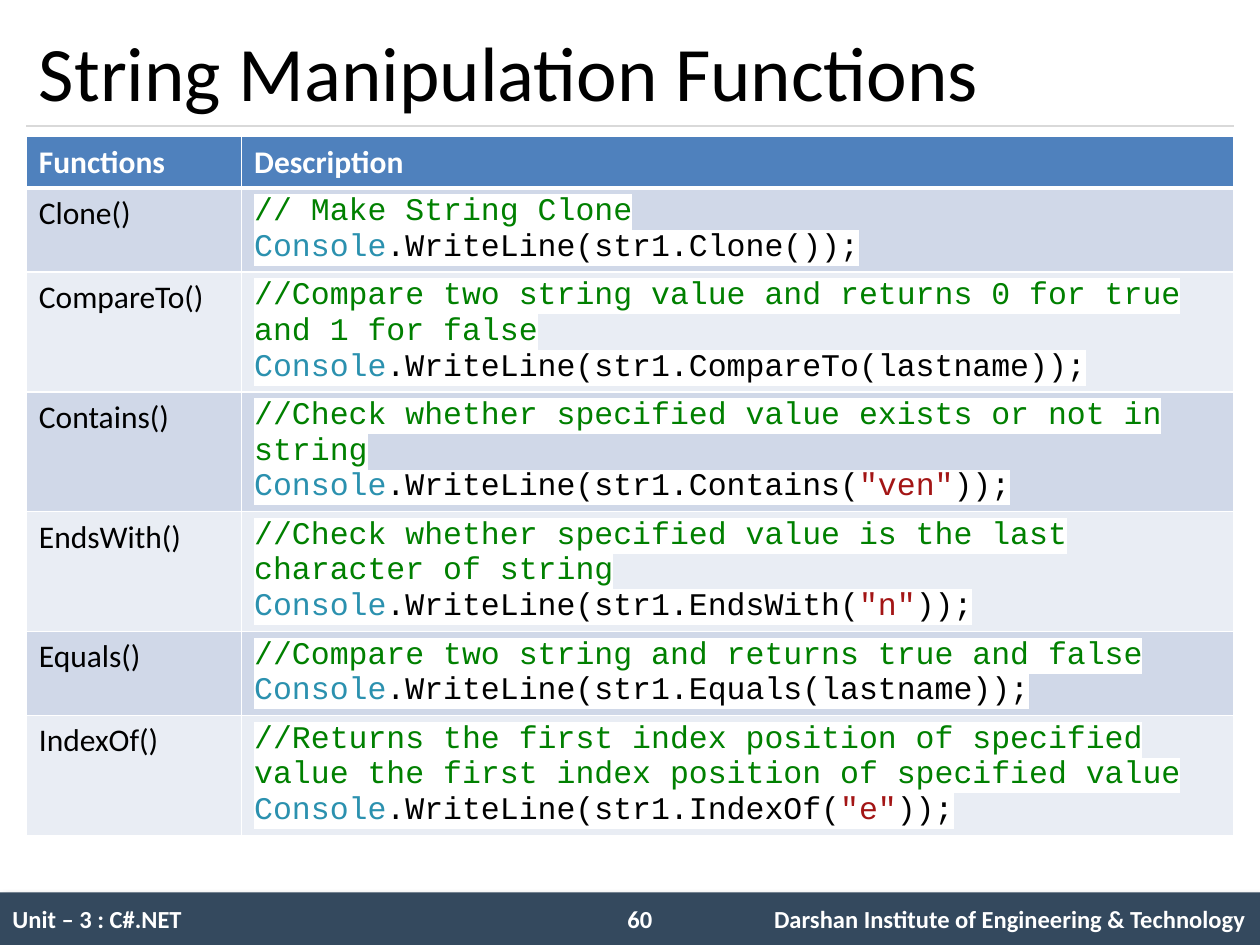
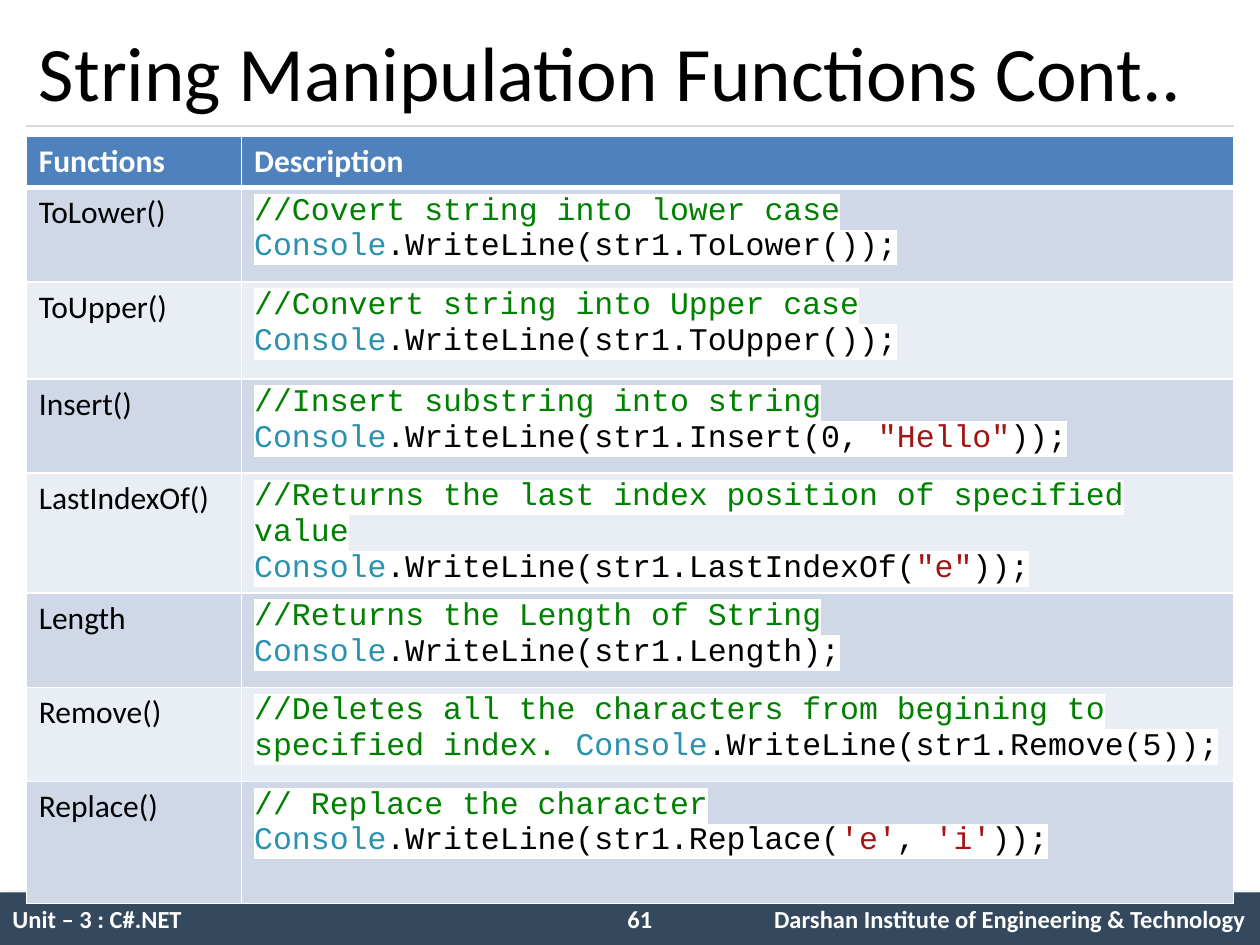
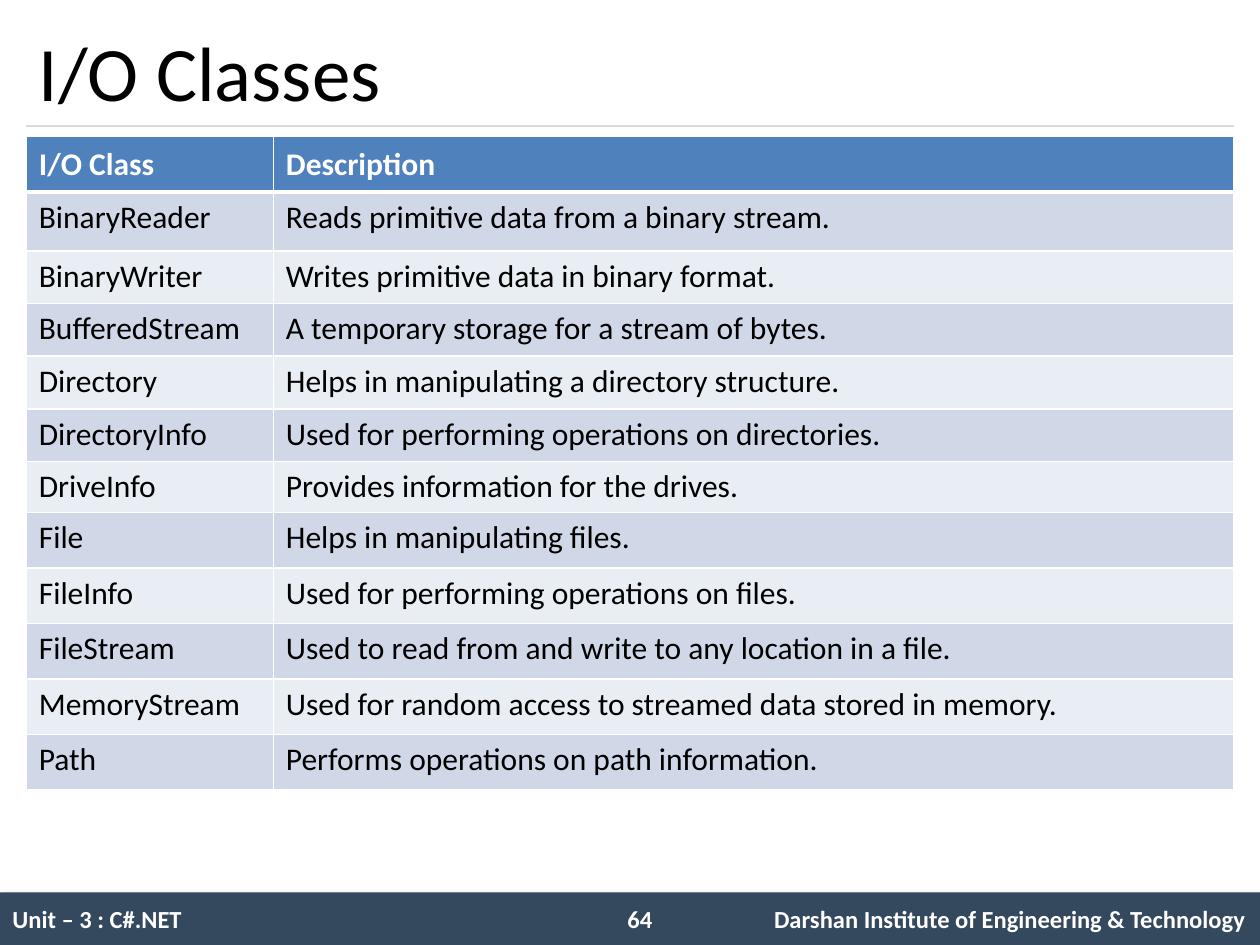
from dataclasses import dataclass

from lxml.etree import SubElement
from pptx import Presentation
from pptx.dml.color import RGBColor
from pptx.enum.shapes import MSO_CONNECTOR, MSO_SHAPE
from pptx.enum.text import MSO_ANCHOR, PP_ALIGN
from pptx.oxml import parse_xml
from pptx.oxml.ns import nsdecls, qn
from pptx.util import Cm, Pt

HEX = {
    "black": "000000", "white": "FFFFFF", "bar": "34495E", "rule": "D9D9D9",
    "head": "4F81BD", "odd": "D0D8E8", "even": "E9EDF4",
    "note": "008000", "type": "2B91AF", "text": "A31515",
}
BODY, MONO = "Calibri", "Courier New"
WIDE, HIGH = Cm(25.4), Cm(19.05)
LEFT, SPAN = Cm(0.53), Cm(24.34)
UNIT = "Unit – 3 : C#.NET"
SCHOOL = "Darshan Institute of Engineering & Technology"


@dataclass
class Bit:
    text: str
    color: str = "black"
    font: str = BODY
    size: int = 18
    bold: bool = False


Lines = list[list[Bit]]


@dataclass
class Row:
    name: str
    info: Lines
    high: float


@dataclass
class Page:
    title: str
    number: int
    heads: tuple[str, str]
    cols: tuple[float, float]
    top: float
    rows: list[Row]


def code(name: str, note: str, *call: str, high: float, inline: bool = False) -> Row:
    """Row with a comment and a call; every second part of the call is a literal."""
    first = [Bit(note, "note", MONO)]
    line = [Bit("Console", "type", MONO), Bit(".WriteLine(str1." + call[0], font=MONO)]
    for i, part in enumerate(call[1:]):
        line.append(Bit(part, "black" if i % 2 else "text", MONO))
    if inline:
        return Row(name, [first + [Bit(" ", font=MONO)] + line], high)
    return Row(name, [first, line], high)


def plain(name: str, info: str, high: float) -> Row:
    return Row(name, [[Bit(info)]], high)


def rgb(name: str) -> RGBColor:
    return RGBColor.from_string(HEX[name])


def put(para, bit: Bit) -> None:
    run = para.add_run()
    run.text = bit.text
    font = run.font
    font.name, font.size, font.bold = bit.font, Pt(bit.size), bit.bold
    font.color.rgb = rgb(bit.color)
    if bit.font == MONO:
        mark = parse_xml(f'<a:highlight {nsdecls("a")}>'
                         f'<a:srgbClr val="{HEX["white"]}"/></a:highlight>')
        font._rPr.find(qn("a:solidFill")).addnext(mark)


def edge(cell, sides: dict[str, int]) -> None:
    """Draw white cell borders, given as side letter and width in points."""
    props = cell._tc.get_or_add_tcPr()
    for i, (side, width) in enumerate(sides.items()):
        props.insert(i, parse_xml(
            f'<a:ln{side} {nsdecls("a")} w="{Pt(width)}"><a:solidFill>'
            f'<a:srgbClr val="{HEX["white"]}"/></a:solidFill></a:ln{side}>'))


def fill(cell, lines: Lines, color: str, row: int) -> None:
    cell.fill.solid()
    cell.fill.fore_color.rgb = rgb(color)
    cell.vertical_anchor = MSO_ANCHOR.TOP if row else MSO_ANCHOR.MIDDLE
    edge(cell, {"L": 1, "R": 1, "T": 3 if row == 1 else 1, "B": 1 if row else 3})
    frame = cell.text_frame
    for i, line in enumerate(lines):
        para = frame.add_paragraph() if i else frame.paragraphs[0]
        for bit in line:
            put(para, bit)


def add_bar(slide, number: int) -> None:
    bar = slide.shapes.add_shape(MSO_SHAPE.RECTANGLE, 0, Cm(17.99), WIDE, Cm(1.06))
    bar.fill.solid()
    bar.fill.fore_color.rgb = rgb("bar")
    bar.line.fill.background()
    bar.shadow.inherit = False
    glow = bar._element.spPr.find(qn("a:effectLst"))
    glow.append(parse_xml(
        f'<a:outerShdw {nsdecls("a")} blurRad="{Pt(4)}" dist="{Pt(3)}" dir="2700000">'
        f'<a:srgbClr val="{HEX["black"]}"><a:alpha val="40000"/></a:srgbClr>'
        '</a:outerShdw>'))
    frame = bar.text_frame
    frame.word_wrap = True
    frame.vertical_anchor = MSO_ANCHOR.MIDDLE
    para = frame.paragraphs[0]
    para.alignment = PP_ALIGN.LEFT
    tabs = SubElement(para._p.get_or_add_pPr(), qn("a:tabLst"))
    for stop, kind in ((12.65, "ctr"), (24.86, "r")):
        SubElement(tabs, qn("a:tab"), pos=str(Cm(stop)), algn=kind)
    for text in (UNIT, f"\t{number}", f"\t{SCHOOL}"):
        put(para, Bit(text, "white", size=14, bold=True))


def add_rule(slide) -> None:
    rule = slide.shapes.add_connector(
        MSO_CONNECTOR.STRAIGHT, LEFT, Cm(2.54), LEFT + SPAN, Cm(2.54))
    rule.line.color.rgb = rgb("rule")
    rule.line.width = Pt(0.75)
    SubElement(rule._element.spPr, qn("a:effectLst"))


def set_title(slide, text: str) -> None:
    title = slide.shapes.title
    title.left, title.top, title.width, title.height = LEFT, Cm(0.3), SPAN, Cm(2.24)
    frame = title.text_frame
    frame.vertical_anchor = MSO_ANCHOR.MIDDLE
    frame.paragraphs[0].alignment = PP_ALIGN.LEFT
    put(frame.paragraphs[0], Bit(text, size=44))


def add_grid(slide, page: Page) -> None:
    high = Cm(page.top + sum(row.high for row in page.rows))
    grid = slide.shapes.add_table(
        len(page.rows) + 1, 2, LEFT, Cm(2.75), SPAN, high).table
    grid.horz_banding = False
    for col, width in zip(grid.columns, page.cols):
        col.width = Cm(width)
    grid.rows[0].height = Cm(page.top)
    for i, head in enumerate(page.heads):
        fill(grid.cell(0, i), [[Bit(head, "white", bold=True)]], "head", 0)
    for i, row in enumerate(page.rows, 1):
        grid.rows[i].height = Cm(row.high)
        band = "odd" if i % 2 else "even"
        fill(grid.cell(i, 0), [[Bit(row.name)]], band, i)
        fill(grid.cell(i, 1), row.info, band, i)


TWO, THREE, ROOMY = 1.68, 2.41, 1.9
FUNCS = ("Functions", "Description")
SPLIT = (4.34, 20.0)

PAGES = [
    Page("String Manipulation Functions", 60, FUNCS, SPLIT, 1.04, [
        code("Clone()", "// Make String Clone", "Clone());", high=TWO),
        code("CompareTo()",
             "//Compare two string value and returns 0 for true and 1 for false",
             "CompareTo(lastname));", high=THREE),
        code("Contains()", "//Check whether specified value exists or not in string",
             "Contains(", '"ven"', "));", high=THREE),
        code("EndsWith()",
             "//Check whether specified value is the last character of string",
             "EndsWith(", '"n"', "));", high=THREE),
        code("Equals()", "//Compare two string and returns true and false",
             "Equals(lastname));", high=TWO),
        code("IndexOf()",
             "//Returns the first index position of specified value "
             "the first index position of specified value",
             "IndexOf(", '"e"', "));", high=THREE),
    ]),
    Page("String Manipulation Functions Cont..", 61, FUNCS, SPLIT, 0.99, [
        code("ToLower()", "//Covert string into lower case", "ToLower());", high=ROOMY),
        code("ToUpper()", "//Convert string into Upper case", "ToUpper());", high=1.96),
        code("Insert()", "//Insert substring into string",
             "Insert(0, ", '"Hello"', "));", high=ROOMY),
        code("LastIndexOf()", "//Returns the last index position of specified value",
             "LastIndexOf(", '"e"', "));", high=ROOMY),
        code("Length", "//Returns the Length of String", "Length);", high=ROOMY),
        code("Remove()",
             "//Deletes all the characters from begining to specified index.",
             "Remove(5));", high=ROOMY, inline=True),
        code("Replace()", "// Replace the character",
             "Replace(", "'e'", ", ", "'i'", "));", high=2.46),
    ]),
    Page("I/O Classes", 64, ("I/O Class", "Description"), (4.98, 19.36), 1.12, [
        plain("BinaryReader", "Reads primitive data from a binary stream.", 1.19),
        plain("BinaryWriter", "Writes primitive data in binary format.", 1.06),
        plain("BufferedStream", "A temporary storage for a stream of bytes.", 1.06),
        plain("Directory", "Helps in manipulating a directory structure.", 1.06),
        plain("DirectoryInfo", "Used for performing operations on directories.", 1.06),
        plain("DriveInfo", "Provides information for the drives.", 1.03),
        plain("File", "Helps in manipulating files.", 1.12),
        plain("FileInfo", "Used for performing operations on files.", 1.12),
        plain("FileStream", "Used to read from and write to any location in a file.",
              1.12),
        plain("MemoryStream",
              "Used for random access to streamed data stored in memory.", 1.12),
        plain("Path", "Performs operations on path information.", 1.12),
    ]),
]


def main() -> None:
    deck = Presentation()
    deck.slide_width, deck.slide_height = WIDE, HIGH
    for page in PAGES:
        slide = deck.slides.add_slide(deck.slide_layouts[5])
        add_bar(slide, page.number)
        add_rule(slide)
        set_title(slide, page.title)
        add_grid(slide, page)
    deck.save("out.pptx")


if __name__ == "__main__":
    main()
